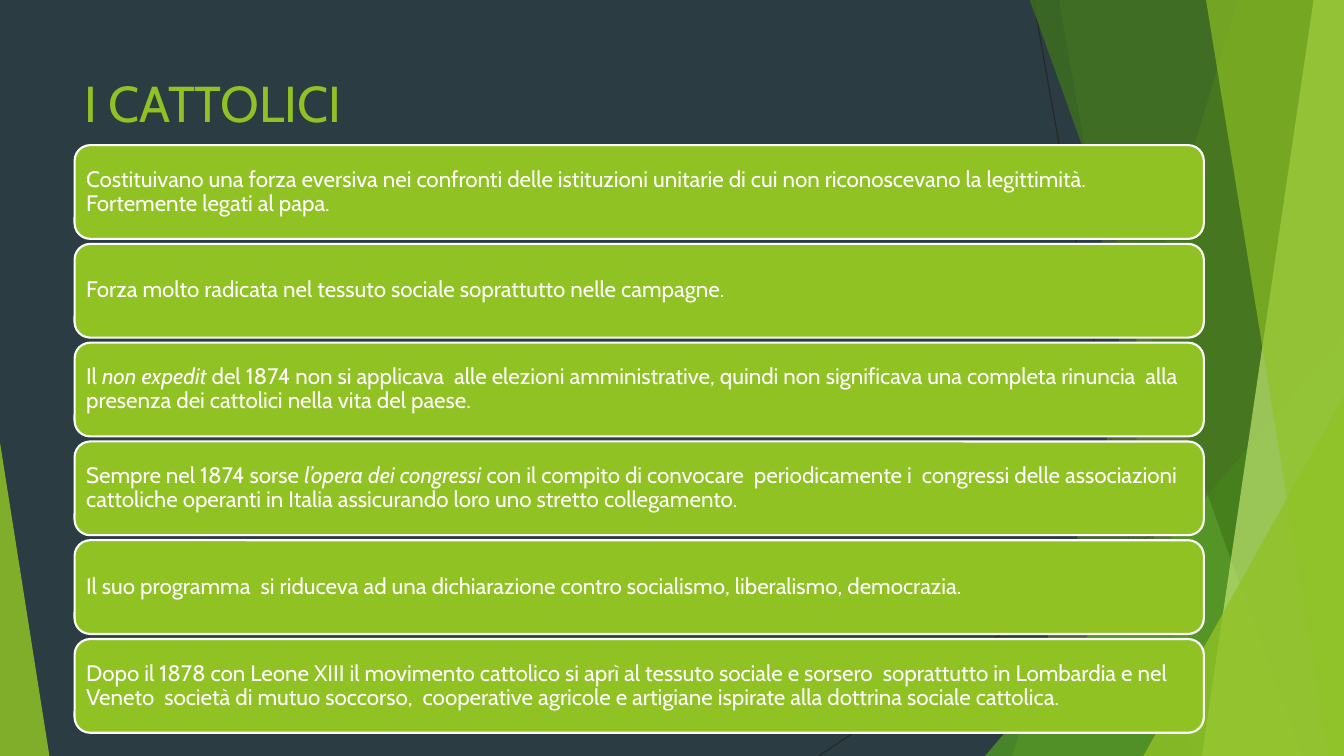
from lxml import etree
from pptx import Presentation
from pptx.dml.color import RGBColor
from pptx.enum.shapes import MSO_CONNECTOR, MSO_SHAPE
from pptx.enum.text import MSO_ANCHOR, PP_ALIGN
from pptx.oxml.ns import qn
from pptx.util import Inches, Pt

BACKGROUND = RGBColor(0x2C, 0x3C, 0x43)
LINE_GREY = RGBColor(0x26, 0x26, 0x26)
LIME = RGBColor(0x90, 0xC2, 0x26)
CARD_GREEN = RGBColor(0x90, 0xC2, 0x23)
GREEN = RGBColor(0x54, 0xA0, 0x21)
DARK_GREEN = RGBColor(0x3F, 0x78, 0x18)
PALE_LIME = RGBColor(0xBF, 0xE4, 0x71)
WHITE = RGBColor(0xFF, 0xFF, 0xFF)

FONT = "Cabin"
WIDTH, HEIGHT = 13.33, 7.5
CARD_TOP, CARD_STEP = 1.44, 0.98

# Asterisks enclose italic words.
CARDS = [
    "Costituivano una forza eversiva nei confronti delle istituzioni unitarie "
    "di cui non riconoscevano la legittimità. Fortemente legati al papa.",
    "Forza molto radicata nel tessuto sociale soprattutto nelle campagne.",
    "Il *non expedit *del 1874 non si applicava  alle elezioni amministrative, "
    "quindi non significava una completa rinuncia  alla presenza dei cattolici "
    "nella vita del paese.",
    "Sempre nel 1874 sorse *l’opera dei congressi *con il compito di convocare  "
    "periodicamente i  congressi delle associazioni  cattoliche operanti in "
    "Italia assicurando loro uno stretto collegamento.",
    "Il suo programma  si riduceva ad una dichiarazione contro socialismo, "
    "liberalismo, democrazia.",
    "Dopo il 1878 con Leone XIII il movimento cattolico si aprì al tessuto "
    "sociale e sorsero  soprattutto in Lombardia e nel Veneto  società di mutuo "
    "soccorso,  cooperative agricole e artigiane ispirate alla dottrina sociale "
    "cattolica.",
]


def write_text(tf, text, size, color, anchor=MSO_ANCHOR.TOP, inset=(0.1, 0.05),
               line_spacing=None):
    """Fill a frame; inset is (horizontal, vertical) in inches."""
    tf.word_wrap = True
    tf.vertical_anchor = anchor
    tf.margin_left = tf.margin_right = Inches(inset[0])
    tf.margin_top = tf.margin_bottom = Inches(inset[1])
    p = tf.paragraphs[0]
    p.alignment = PP_ALIGN.LEFT
    p.line_spacing = line_spacing
    for i, part in enumerate(text.split("*")):
        r = p.add_run()
        r.text = part
        r.font.name = FONT
        r.font.size = Pt(size)
        r.font.color.rgb = color
        r.font.italic = i % 2 == 1


def paint(sp, color, opacity):
    """Apply a flat fill, opacity in percent, without outline or shadow."""
    sp.shadow.inherit = False
    sp.line.fill.background()
    sp.fill.solid()
    sp.fill.fore_color.rgb = color
    clr = sp.fill._xPr.find(qn("a:solidFill"))[0]
    etree.SubElement(clr, qn("a:alpha"), val=str(opacity * 1000))


def add_line(slide, x1, y1, x2, y2):
    line = slide.shapes.add_connector(
        MSO_CONNECTOR.STRAIGHT, Inches(x1), Inches(y1), Inches(x2), Inches(y2))
    line.line.color.rgb = LINE_GREY
    line.line.width = Pt(0.75)
    etree.SubElement(line._element.spPr, qn("a:effectLst"))


def add_band(slide, top_x, bottom_x, color, opacity):
    """Draw a full-height band from a slanted left edge to the slide's right."""
    top = -0.01
    corners = [(WIDTH, top), (WIDTH, HEIGHT), (bottom_x, HEIGHT)]
    builder = slide.shapes.build_freeform(Inches(top_x), Inches(top))
    builder.add_line_segments([(Inches(x), Inches(y)) for x, y in corners])
    paint(builder.convert_to_shape(), color, opacity)


def add_triangle(slide, x, y, w, apex, color, opacity):
    """Draw a triangle standing on the slide's bottom; apex is 0 left, 1 right."""
    sp = slide.shapes.add_shape(MSO_SHAPE.ISOSCELES_TRIANGLE, Inches(x), Inches(y),
                                Inches(w), Inches(HEIGHT - y))
    sp.adjustments[0] = apex
    paint(sp, color, opacity)


def add_decoration(slide):
    add_line(slide, 10.25, 0, 11.58, HEIGHT)
    add_line(slide, WIDTH, 4.03, 8.12, HEIGHT)
    add_band(slide, 12.28, 10.04, LIME, 30)
    add_band(slide, 10.5, 11.83, LIME, 20)
    add_triangle(slide, 9.77, 3.33, 3.56, 1, GREEN, 72)
    add_band(slide, 10.21, 12.91, DARK_GREEN, 70)
    add_band(slide, 13.03, 11.92, PALE_LIME, 70)
    add_band(slide, 11.96, 13.18, LIME, 65)
    add_triangle(slide, 11.34, 3.93, 1.99, 1, LIME, 80)
    add_triangle(slide, 0, 4.39, 0.49, 0, LIME, 85)


def add_title(slide, text):
    box = slide.shapes.add_textbox(Inches(0.74), Inches(0.67), Inches(9.4), Inches(0.86))
    write_text(box.text_frame, text, 36, LIME)


def add_card(slide, y, text):
    sp = slide.shapes.add_shape(MSO_SHAPE.ROUNDED_RECTANGLE, Inches(0.74), Inches(y),
                                Inches(11.2), Inches(0.93))
    sp.shadow.inherit = False
    sp.fill.solid()
    sp.fill.fore_color.rgb = CARD_GREEN
    sp.line.color.rgb = WHITE
    sp.line.width = Pt(1.5)
    write_text(sp.text_frame, text, 16, WHITE, anchor=MSO_ANCHOR.MIDDLE,
               inset=(0.07, 0.07), line_spacing=0.9)


def main():
    prs = Presentation()
    prs.slide_width, prs.slide_height = Inches(WIDTH), Inches(HEIGHT)
    slide = prs.slides.add_slide(prs.slide_layouts[6])
    slide.background.fill.solid()
    slide.background.fill.fore_color.rgb = BACKGROUND
    add_decoration(slide)
    add_title(slide, "I CATTOLICI")
    for i, text in enumerate(CARDS):
        add_card(slide, CARD_TOP + i * CARD_STEP, text)
    prs.save("out.pptx")


if __name__ == "__main__":
    main()
